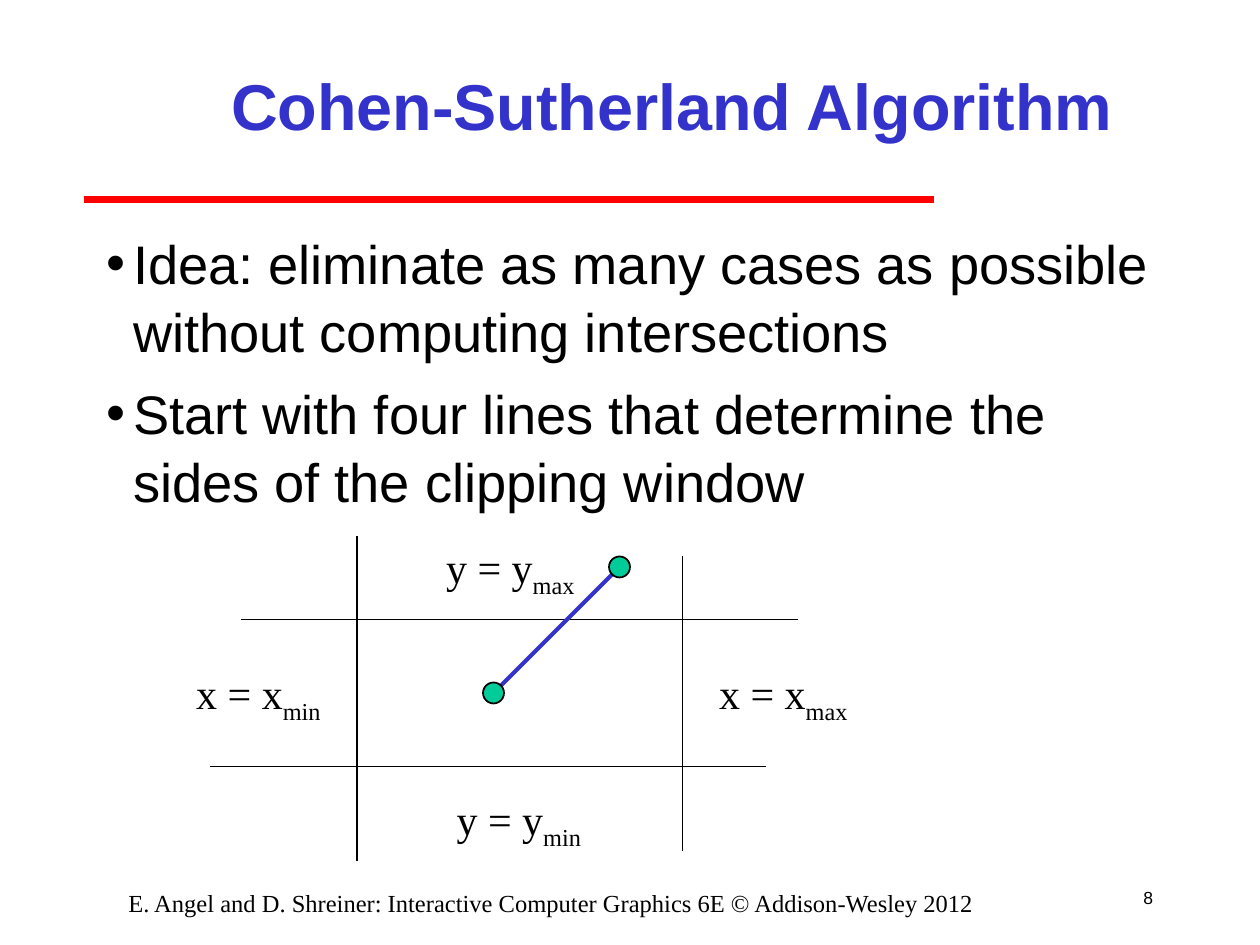
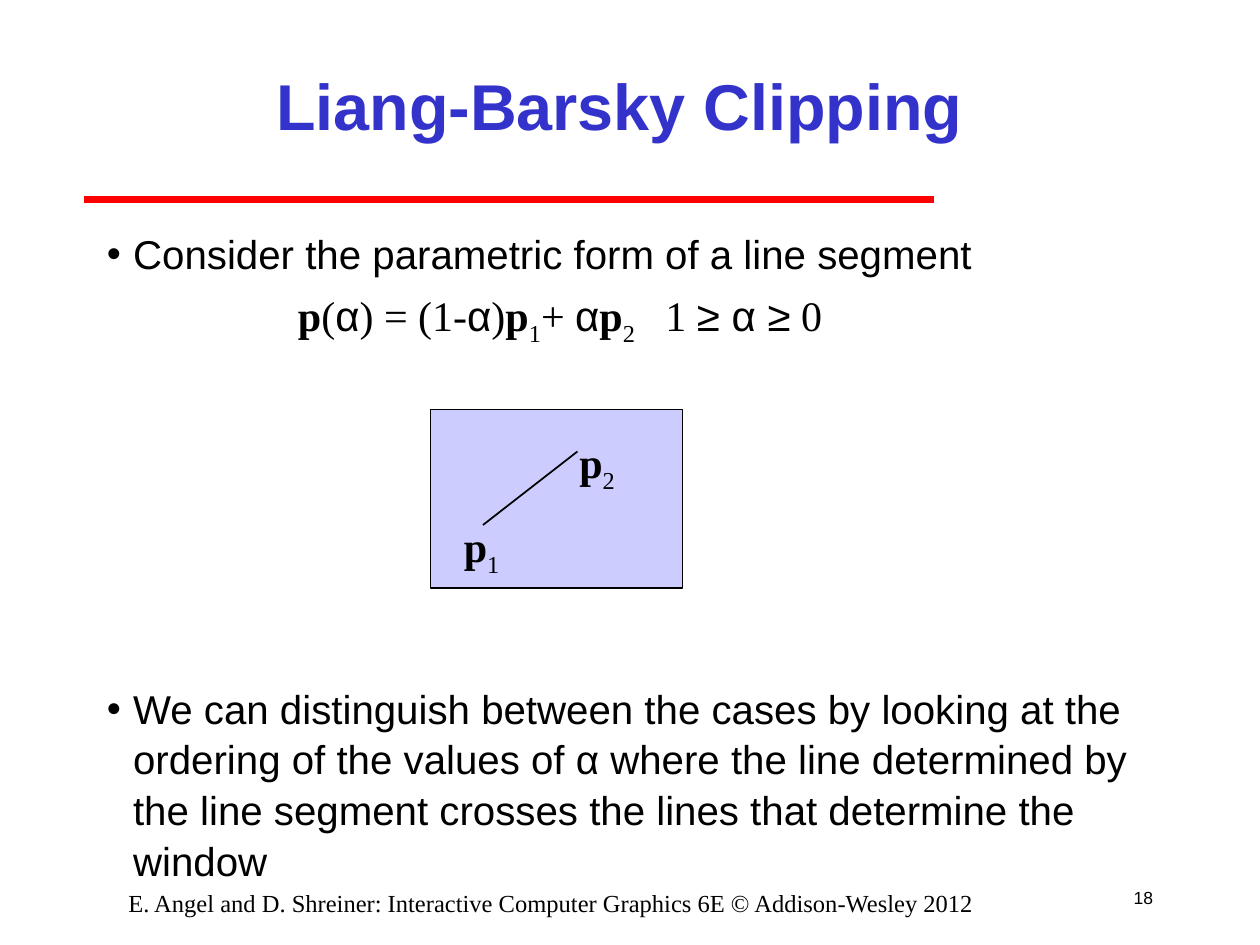
from lxml.etree import SubElement
from pptx import Presentation
from pptx.dml.color import RGBColor
from pptx.enum.shapes import MSO_CONNECTOR, MSO_SHAPE
from pptx.enum.text import MSO_ANCHOR, PP_ALIGN
from pptx.oxml.ns import qn
from pptx.util import Inches, Pt

CELLS_PER_INCH = 12
FOOTER = "E. Angel and D. Shreiner: Interactive Computer Graphics 6E © Addison-Wesley 2012"


def color(value):
    return RGBColor.from_string(value)


def cells(*counts):
    return [Inches(count / CELLS_PER_INCH) for count in counts]


class LectureDeck:
    ink = "000000"
    accent = "3333CC"
    rule = "FF0000"
    endpoint = "00CC99"
    window = "CCCCFF"
    sans = "Arial"
    serif = "Times New Roman"

    def __init__(self):
        self.deck = Presentation()
        self.deck.slide_width, self.deck.slide_height = cells(120, 90)
        self.slide = None

    def page(self, title, number, title_columns):
        self.slide = self.deck.slides.add_slide(self.deck.slide_layouts[6])
        self.line((8, 19), (89, 19), self.rule, 4)
        self.text((106, 83, 5, 5), str(number), 10, self.sans, align=PP_ALIGN.RIGHT,
                  anchor=MSO_ANCHOR.MIDDLE)
        self.text((6, 84, 93, 4), FOOTER, 14, self.serif, align=PP_ALIGN.CENTER)
        self.text((18, 3, title_columns, 14), title, 37, self.sans, self.accent, True,
                  PP_ALIGN.CENTER, MSO_ANCHOR.MIDDLE)

    def frame(self, area, anchor=MSO_ANCHOR.TOP):
        box = self.slide.shapes.add_textbox(*cells(*area))
        box.text_frame.word_wrap = True
        box.text_frame.vertical_anchor = anchor
        return box.text_frame

    def style(self, span, size, font, ink=None, bold=False):
        span.font.size = Pt(size)
        span.font.name = font
        span.font.bold = bold
        span.font.color.rgb = color(ink or self.ink)

    def text(self, area, words, size, font, ink=None, bold=False,
             align=PP_ALIGN.LEFT, anchor=MSO_ANCHOR.TOP):
        frame = self.frame(area, anchor)
        frame.text = words
        para = frame.paragraphs[0]
        para.alignment = align
        self.style(para.runs[0], size, font, ink, bold)

    def formula(self, area, parts, tab_column=None):
        para = self.frame(area).paragraphs[0]
        if tab_column:
            tabs = SubElement(para._p.get_or_add_pPr(), qn("a:tabLst"))
            SubElement(tabs, qn("a:tab"), pos=str(cells(tab_column)[0]), algn="l")
        for words, kind in parts:
            span = para.add_run()
            span.text = words
            self.style(span, 24, self.sans if kind == "symbol" else self.serif,
                       bold=kind == "vector")
            if kind == "subscript":
                span.font._element.set("baseline", "-25000")

    def bullets(self, items, size, gap):
        frame = self.frame((9, 21, 102, 62))
        frame.text = "\n".join(items)
        indent = cells(2.5)[0]
        for index, para in enumerate(frame.paragraphs):
            para.line_spacing = 1.05
            if index:
                para.space_before = Pt(gap)
            properties = para._p.get_or_add_pPr()
            properties.set("marL", str(indent))
            properties.set("indent", str(-indent))
            SubElement(properties, qn("a:buFont"), typeface=self.sans)
            SubElement(properties, qn("a:buChar"), char="•")
            self.style(para.runs[0], size, self.sans)

    def line(self, start, end, ink=None, width=1):
        connector = self.slide.shapes.add_connector(
            MSO_CONNECTOR.STRAIGHT, *cells(*start, *end))
        connector.line.color.rgb = color(ink or self.ink)
        connector.line.width = Pt(width)
        SubElement(connector._element.spPr, qn("a:effectLst"))

    def shape(self, preset, area, fill):
        shape = self.slide.shapes.add_shape(preset, *cells(*area))
        shape.shadow.inherit = False
        shape.fill.solid()
        shape.fill.fore_color.rgb = color(fill)
        shape.line.color.rgb = color(self.ink)
        shape.line.width = Pt(1)


def cohen_sutherland(lecture):
    lecture.page("Cohen-Sutherland Algorithm", 8, 92)
    lecture.bullets([
        "Idea: eliminate as many cases as possible without computing intersections",
        "Start with four lines that determine the sides of the clipping window",
    ], 31, 7.7)
    window_sides = [((23, 59), (76, 59)), ((65, 53), (65, 81)),
                    ((34, 51), (34, 82)), ((20, 73), (73, 73))]
    for start, end in window_sides:
        lecture.line(start, end)
    side_labels = [(67.3, 63, "x", "max"), (17.5, 63, "x", "min"),
                   (41.3, 51, "y", "max"), (42.3, 75, "y", "min")]
    for column, row, axis, bound in side_labels:
        lecture.formula((column, row, 16, 6.7),
                        [(f"{axis} = {axis}", "plain"), (bound, "subscript")])
    segment = [(47, 66), (59, 54)]
    lecture.line(*segment, lecture.accent, 2.25)
    for column, row in reversed(segment):
        lecture.shape(MSO_SHAPE.OVAL, (column - 1, row - 1, 2, 2), lecture.endpoint)


def liang_barsky(lecture):
    lecture.page("Liang-Barsky Clipping", 18, 82)
    lecture.bullets([
        "Consider the parametric form of a line segment",
        "We can distinguish between the cases by looking at the ordering of the values "
        "of α where the line determined by the line segment crosses the lines that "
        "determine the window",
    ], 23, 231)
    lecture.formula((27.2, 27, 57, 6.7), [
        ("p", "vector"), ("(", "plain"), ("α", "symbol"), (") = (1-", "plain"),
        ("α", "symbol"), (")", "plain"), ("p", "vector"), ("1", "subscript"),
        ("+ ", "plain"), ("α", "symbol"), ("p", "vector"), ("2", "subscript"),
        ("\t1 ", "plain"), ("≥ α ≥", "symbol"), (" 0", "plain"),
    ], 35)
    lecture.shape(MSO_SHAPE.RECTANGLE, (41, 39, 24, 17), lecture.window)
    lecture.line((46, 50), (55, 43))
    for column, row, index in [(43, 49, "1"), (54, 41, "2")]:
        lecture.formula((column, row, 7, 6.7), [("p", "vector"), (index, "subscript")])


def main():
    lecture = LectureDeck()
    cohen_sutherland(lecture)
    liang_barsky(lecture)
    lecture.deck.save("out.pptx")


if __name__ == "__main__":
    main()
